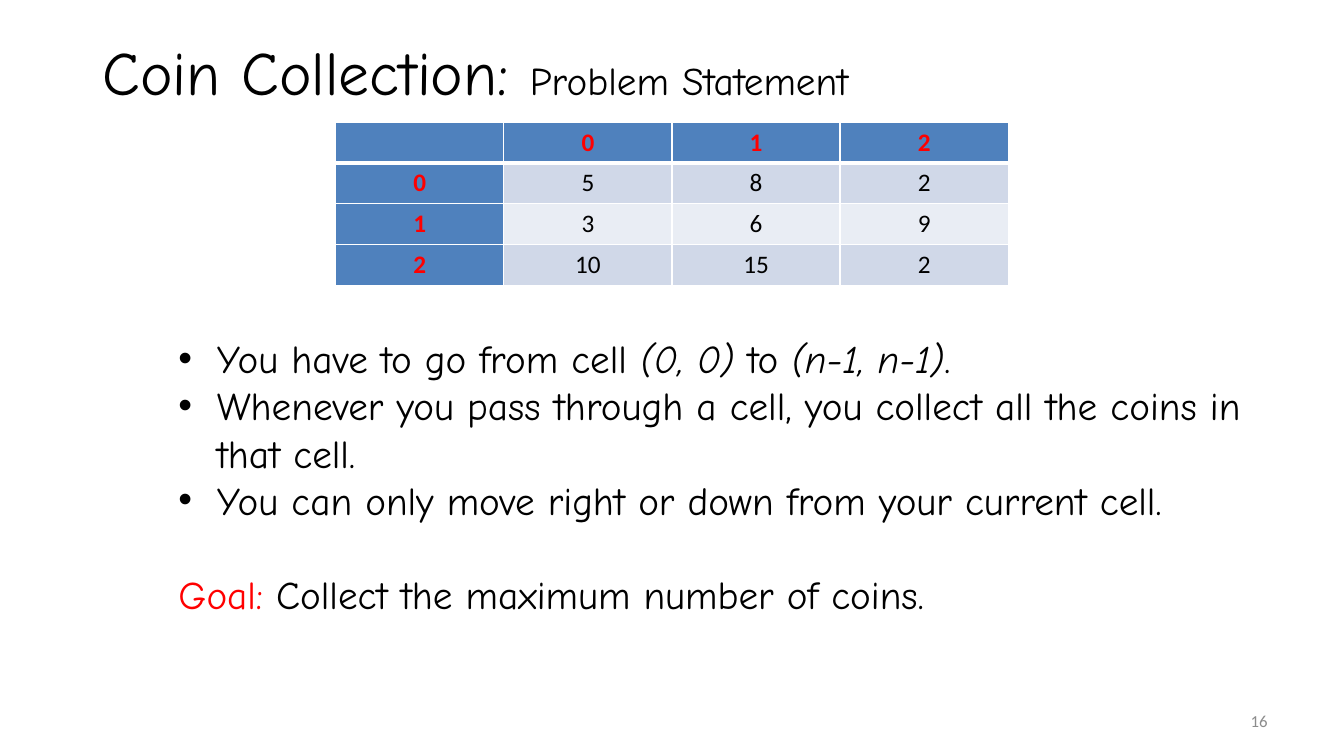
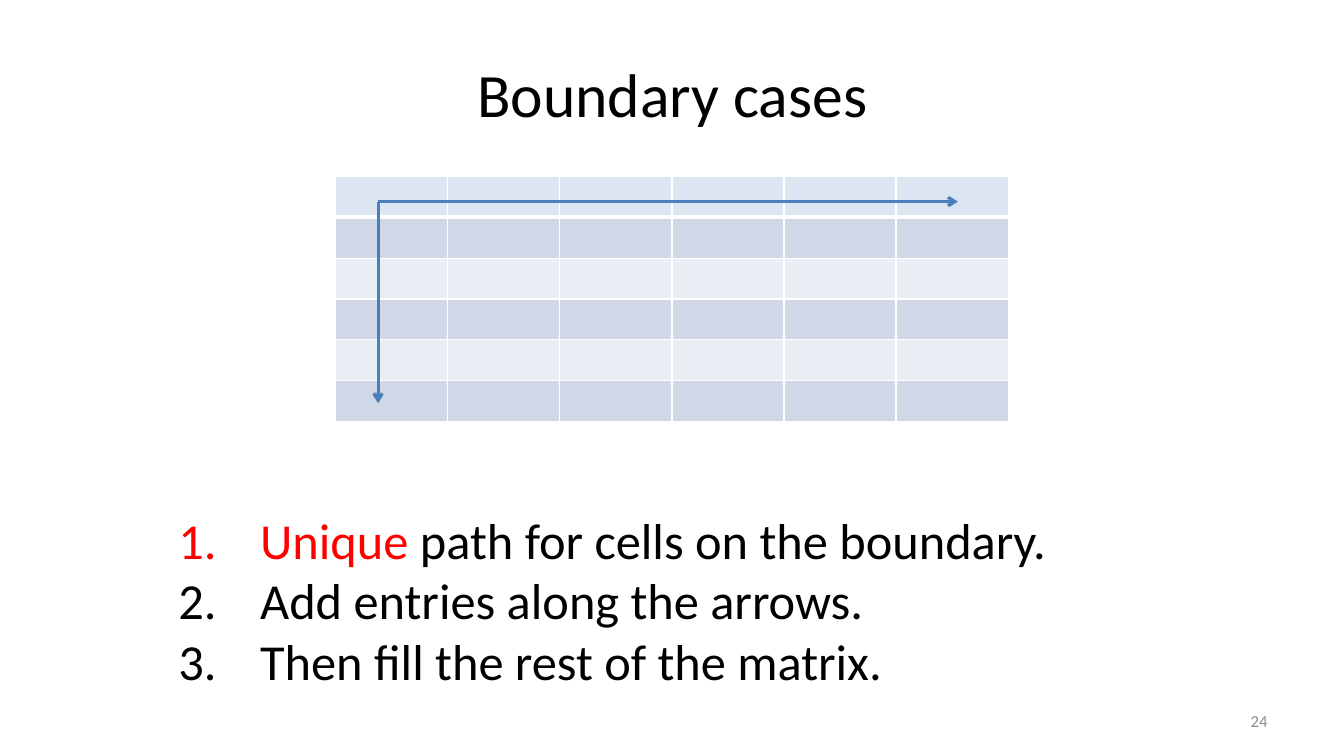
from lxml.etree import SubElement
from pptx import Presentation
from pptx.dml.color import RGBColor
from pptx.enum.shapes import MSO_CONNECTOR
from pptx.enum.text import MSO_ANCHOR, MSO_AUTO_SIZE, PP_ALIGN
from pptx.oxml.ns import qn
from pptx.util import Inches, Pt

BLACK = RGBColor(0x00, 0x00, 0x00)
RED = RGBColor(0xFF, 0x00, 0x00)
GRAY = RGBColor(0x8C, 0x8C, 0x8C)
HEADER_BLUE = RGBColor(0x4F, 0x81, 0xBD)
PALE_BLUE = RGBColor(0xDC, 0xE6, 0xF2)
ARROW_BLUE = RGBColor(0x4B, 0x7E, 0xBC)
BANDS = (RGBColor(0xD0, 0xD8, 0xE8), RGBColor(0xE9, 0xED, 0xF4))
SANS = "Calibri"
COMIC = "Comic Neue"
TITLE_SIZE = 44
TABLE_LEFT = 3.33
TABLE_WIDTH = 6.67
ROW_HEIGHT = 1.62 / 4


def format_run(run, font_name, size, color=BLACK, bold=False, italic=False):
    """Set the font of one run."""
    font = run.font
    font.name, font.size = font_name, Pt(size)
    font.bold, font.italic = bold, italic
    font.color.rgb = color


def add_runs(paragraph, parts, font_name, size):
    """Add (text, changes) parts to a paragraph, with changes to size, colour or slant."""
    for text, changes in parts:
        run = paragraph.add_run()
        run.text = text
        format_run(run, font_name, **{"size": size, **changes})


def place(shape, left, top, width, height):
    """Move a shape to a box given in inches."""
    shape.left, shape.top = Inches(left), Inches(top)
    shape.width, shape.height = Inches(width), Inches(height)


def add_title(slide, box, parts, font_name):
    """Fill the title placeholder with centred text."""
    title = slide.shapes.title
    place(title, *box)
    title.text_frame.auto_size = MSO_AUTO_SIZE.NONE
    title.text_frame.vertical_anchor = MSO_ANCHOR.MIDDLE
    paragraph = title.text_frame.paragraphs[0]
    paragraph.alignment = PP_ALIGN.CENTER
    add_runs(paragraph, parts, font_name, TITLE_SIZE)


def set_marker(paragraph, marker, hanging):
    """Give a paragraph a bullet, a number or no marker, with a hanging indent."""
    properties = paragraph._p.get_or_add_pPr()
    properties.set("marL", str(Inches(hanging)))
    properties.set("indent", str(-Inches(hanging)))
    if marker == "bullet":
        SubElement(properties, qn("a:buFont"), typeface="Arial")
        SubElement(properties, qn("a:buChar"), char="•")
    elif marker == "number":
        SubElement(properties, qn("a:buFont"), typeface="+mj-lt")
        SubElement(properties, qn("a:buAutoNum"), type="arabicPeriod")
    else:
        SubElement(properties, qn("a:buNone"))


def add_body(slide, box, items, font_name, size):
    """Fill the body placeholder with (marker, hanging, space before, parts) items."""
    body = slide.placeholders[1]
    place(body, *box)
    text_frame = body.text_frame
    text_frame.auto_size = MSO_AUTO_SIZE.NONE
    for index, (marker, hanging, space_before, parts) in enumerate(items):
        paragraph = text_frame.add_paragraph() if index else text_frame.paragraphs[0]
        set_marker(paragraph, marker, hanging)
        paragraph.space_before = Pt(space_before)
        add_runs(paragraph, parts, font_name, size)


def set_borders(cell, top, bottom):
    """Draw white cell borders, with top and bottom widths in points."""
    properties = cell._tc.get_or_add_tcPr()
    for side, width in (("L", 1), ("R", 1), ("T", top), ("B", bottom)):
        line = SubElement(properties, qn(f"a:ln{side}"), w=str(Pt(width)))
        SubElement(SubElement(line, qn("a:solidFill")), qn("a:srgbClr"), val="FFFFFF")


def add_grid(slide, top, rows, header_fill, header_column=False):
    """Add a banded table whose first row, and optionally first column, is a header."""
    column_count = len(rows[0])
    table = slide.shapes.add_table(
        len(rows), column_count, Inches(TABLE_LEFT), Inches(top),
        Inches(TABLE_WIDTH), Inches(ROW_HEIGHT * len(rows))).table
    for column in table.columns:
        column.width = Inches(TABLE_WIDTH / column_count)
    for row_index, values in enumerate(rows):
        table.rows[row_index].height = Inches(ROW_HEIGHT)
        for column_index, value in enumerate(values):
            cell = table.cell(row_index, column_index)
            is_header = row_index == 0 or (header_column and column_index == 0)
            set_borders(cell, 3 if row_index == 1 else 1, 3 if row_index == 0 else 1)
            cell.fill.solid()
            cell.fill.fore_color.rgb = header_fill if is_header else BANDS[(row_index - 1) % 2]
            cell.vertical_anchor = MSO_ANCHOR.MIDDLE
            if value:
                paragraph = cell.text_frame.paragraphs[0]
                paragraph.text = value
                paragraph.alignment = PP_ALIGN.CENTER
                format_run(paragraph.runs[0], SANS, 18, RED if is_header else BLACK, is_header)


def add_arrow(slide, left, top, across, down):
    """Add an arrow from a point, running across and down by the given inches."""
    arrow = slide.shapes.add_connector(
        MSO_CONNECTOR.STRAIGHT, Inches(left), Inches(top),
        Inches(left + across), Inches(top + down))
    arrow.line.color.rgb = ARROW_BLUE
    arrow.line.width = Pt(2.25)
    properties = arrow._element.spPr
    SubElement(properties.find(qn("a:ln")), qn("a:tailEnd"), type="arrow")
    SubElement(properties, qn("a:effectLst"))


def add_page_number(slide, number):
    """Add the page number at the lower right."""
    text_frame = slide.shapes.add_textbox(
        Inches(9.56), Inches(6.95), Inches(3.11), Inches(0.4)).text_frame
    text_frame.word_wrap = True
    text_frame.vertical_anchor = MSO_ANCHOR.MIDDLE
    paragraph = text_frame.paragraphs[0]
    paragraph.text = str(number)
    paragraph.alignment = PP_ALIGN.RIGHT
    format_run(paragraph.runs[0], SANS, 12, GRAY)


def build_problem_slide(slide):
    """Build the problem statement with its coin table."""
    add_title(slide, (0.03, 0.19, 9.37, 1.02),
              [("Coin Collection: ", {}), ("Problem Statement", {"size": 28})], COMIC)
    add_grid(slide, 1.21, [
        ("", "0", "1", "2"),
        ("0", "5", "8", "2"),
        ("1", "3", "6", "9"),
        ("2", "10", "15", "2"),
    ], HEADER_BLUE, header_column=True)
    italic = {"italic": True}
    rules = [
        [("You have to go from cell ", {}), ("(0, 0) ", italic), ("to ", {}),
         ("(n-1, n-1)", italic), (".", {})],
        [("Whenever you pass through a cell, you collect all the coins in that cell.", {})],
        [("You can only move right or down from your current cell.", {})],
    ]
    goal = [("Goal: ", {"color": RED}), ("Collect the maximum number of coins.", {})]
    items = [("bullet", 0.38, 0, parts) for parts in rules] + [("none", 0, 34, goal)]
    add_body(slide, (1.67, 3.27, 10.74, 2.93), items, COMIC, 28)
    add_page_number(slide, 16)


def build_boundary_slide(slide):
    """Build the boundary cases with arrows along the table's edges."""
    table_top = 1.75
    add_title(slide, (0.67, 0.3, 12, 1.25), [("Boundary cases", {})], SANS)
    add_grid(slide, table_top, [[""] * 6] * 6, PALE_BLUE)
    for across, down in ((5.75, 0), (0, 2)):
        add_arrow(slide, TABLE_LEFT + 0.42, table_top + 0.25, across, down)
    steps = [
        [("Unique", {"color": RED}), (" path for cells on the boundary.", {})],
        [("Add entries along the arrows.", {})],
        [("Then fill the rest of the matrix.", {})],
    ]
    items = [("number", 0.81, 0, parts) for parts in steps]
    add_body(slide, (1.67, 5, 10, 1.92), items, SANS, 36)
    add_page_number(slide, 24)


def main():
    """Build and save the presentation."""
    presentation = Presentation()
    presentation.slide_width = Inches(13.33)
    presentation.slide_height = Inches(7.5)
    for build in (build_problem_slide, build_boundary_slide):
        build(presentation.slides.add_slide(presentation.slide_layouts[1]))
    presentation.save("out.pptx")


if __name__ == "__main__":
    main()
